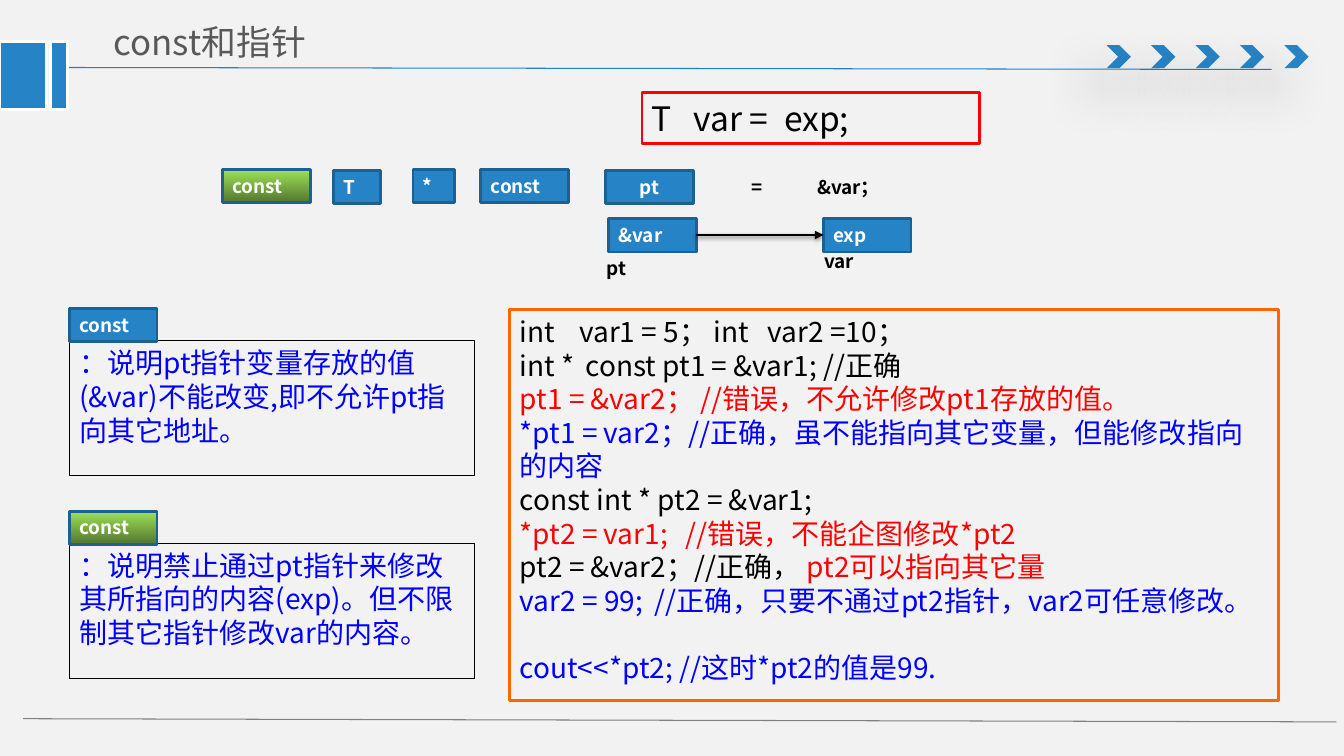
from dataclasses import dataclass

from lxml.etree import SubElement
from pptx import Presentation
from pptx.dml.color import RGBColor
from pptx.enum.shapes import MSO_CONNECTOR, MSO_SHAPE
from pptx.enum.text import MSO_ANCHOR, PP_ALIGN
from pptx.oxml.ns import qn
from pptx.util import Cm, Pt

FONT = "Noto Sans CJK SC"
BLUE, EDGE, WHITE, BLACK = "2683C6", "1C6192", "FFFFFF", "000000"
RED, INK = "FF0000", "0000FF"
GREEN = ("9EE256", "52762D")


@dataclass(frozen=True)
class Line:
    spans: tuple[tuple[str, str], ...]
    tabs: tuple[float, ...] = ()
    before: float = 0


@dataclass(frozen=True)
class Panel:
    left: float
    top: float
    width: float
    height: float
    edge: str
    weight: float
    size: float
    lines: tuple[Line, ...]


@dataclass(frozen=True)
class Chip:
    text: str
    left: float
    top: float
    width: float = 2.21
    green: bool = False
    align: PP_ALIGN = PP_ALIGN.LEFT


@dataclass(frozen=True)
class Label:
    text: str
    left: float
    top: float
    width: float


@dataclass(frozen=True)
class Rule:
    start: tuple[float, float]
    end: tuple[float, float]
    color: str
    weight: float = 0.75


def rgb(value: str) -> RGBColor:
    return RGBColor.from_string(value)


def add_effects(shape, blur: float = 0, distance: float = 0, angle: int = 0) -> None:
    effects = SubElement(shape._element.spPr, qn("a:effectLst"))
    if blur:
        shadow = SubElement(effects, qn("a:outerShdw"), blurRad=str(Pt(blur)),
                            dist=str(Pt(distance)), dir=str(angle * 60000),
                            algn="ctr", rotWithShape="0")
        color = SubElement(shadow, qn("a:srgbClr"), val=BLACK)
        SubElement(color, qn("a:alpha"), val="38000")


def add_box(page, kind, left: float, top: float, width: float, height: float,
            fill: str = "", edge: str = "", weight: float = 2):
    box = page.shapes.add_shape(kind, Cm(left), Cm(top), Cm(width), Cm(height))
    if fill:
        box.fill.solid()
        box.fill.fore_color.rgb = rgb(fill)
    else:
        box.fill.background()
    if edge:
        box.line.color.rgb = rgb(edge)
        box.line.width = Pt(weight)
    else:
        box.line.fill.background()
    return box


def write(frame, lines: tuple[Line, ...], size: float, bold: bool = False,
          align: PP_ALIGN = PP_ALIGN.LEFT) -> None:
    frame.word_wrap = True
    frame.vertical_anchor = MSO_ANCHOR.TOP
    for index, line in enumerate(lines):
        para = frame.add_paragraph() if index else frame.paragraphs[0]
        para.alignment = align
        if line.before:
            para.space_before = Pt(line.before)
        if line.tabs:
            stops = SubElement(para._p.get_or_add_pPr(), qn("a:tabLst"))
            for position in line.tabs:
                SubElement(stops, qn("a:tab"), pos=str(Cm(position)), algn="l")
        para.font.name = FONT
        para.font.size = Pt(size)
        para.font.bold = bold
        para.font.color.rgb = rgb(line.spans[0][1])
        SubElement(para._p.pPr.find(qn("a:defRPr")), qn("a:ea"), typeface=FONT)
        for text, color in line.spans:
            span = para.add_run()
            span.text = text
            if color != line.spans[0][1]:
                span.font.color.rgb = rgb(color)


def add_panel(page, panel: Panel) -> None:
    box = add_box(page, MSO_SHAPE.RECTANGLE, panel.left, panel.top, panel.width,
                  panel.height, edge=panel.edge, weight=panel.weight)
    box.shadow.inherit = False
    write(box.text_frame, panel.lines, panel.size)


def add_chip(page, chip: Chip) -> None:
    box = add_box(page, MSO_SHAPE.RECTANGLE, chip.left, chip.top, chip.width, 0.84,
                  BLUE, EDGE)
    box.shadow.inherit = False
    if chip.green:
        box.fill.gradient()
        box.fill.gradient_angle = 270
        for stop, color in zip(box.fill.gradient_stops, GREEN):
            stop.color.rgb = rgb(color)
    write(box.text_frame, (Line(((chip.text, WHITE),)),), 13.5, True, chip.align)


def add_label(page, label: Label) -> None:
    box = page.shapes.add_textbox(Cm(label.left), Cm(label.top), Cm(label.width), Cm(0.84))
    write(box.text_frame, (Line(((label.text, BLACK),)),), 13.5, True)


def add_rule(page, rule: Rule):
    connector = page.shapes.add_connector(
        MSO_CONNECTOR.STRAIGHT, *(Cm(value) for value in rule.start + rule.end))
    connector.line.color.rgb = rgb(rule.color)
    connector.line.width = Pt(rule.weight)
    return connector


def add_frame(page) -> None:
    for rule in (Rule((1.35, 1.7), (32.05, 1.75), "2181C6"),
                 Rule((0.58, 18.11), (33.68, 18.19), "808080")):
        add_effects(add_rule(page, rule))
    for index in range(5):
        chevron = add_box(page, MSO_SHAPE.CHEVRON, 27.89 + 1.12 * index, 1.14, 0.61, 0.58, BLUE)
        add_effects(chevron, 36, 24, 130)
    for left, width in ((0, 1.17), (1.27, 0.43)):
        block = add_box(page, MSO_SHAPE.RECTANGLE, left, 1.04, width, 1.73, BLUE, WHITE)
        block.shadow.inherit = False
    title = page.shapes.add_textbox(Cm(2.51), Cm(0.36), Cm(11.76), Cm(1.4)).text_frame
    write(title, (Line((("const和指针", "595959"),)),), 24.9)
    title.vertical_anchor = MSO_ANCHOR.MIDDLE
    title.margin_left = title.margin_right = Cm(0.36)
    title.margin_top = title.margin_bottom = Cm(0.18)


CODE = (
    Line((("int\tvar1 = 5； int\tvar2 =10；", BLACK),), (1.5, 6.25)),
    Line((("int *\tconst pt1 = &var1; //正确", BLACK),), (1.66,)),
    Line((("pt1 = &var2； //错误，不允许修改pt1存放的值。", RED),)),
    Line((("*pt1 = var2；//正确，虽不能指向其它变量，但能修改指向的内容", INK),)),
    Line((("const int * pt2 = &var1;", BLACK),)),
    Line((("*pt2 = var1;\t//错误，不能企图修改*pt2", RED),), (4.18,)),
    Line((("pt2 = &var2；//正确，", BLACK), (" pt2可以指向其它量", RED))),
    Line((("var2 = 99;\t//正确，只要不通过pt2指针，var2可任意修改。", INK),), (3.4,)),
    Line((("cout<<*pt2; //这时*pt2的值是99.", INK),), before=24),
)
PANELS = (
    Panel(12.85, 7.8, 19.38, 9.86, "FF6600", 2.25, 20, CODE),
    Panel(16.18, 2.34, 8.51, 1.27, RED, 2, 24,
          (Line((("T\tvar =\texp;", BLACK),), (1.05, 3.33)),)),
    Panel(1.75, 8.59, 10.21, 3.4, BLACK, 0.75, 20,
          (Line((("：说明pt指针变量存放的值(&var)不能改变,即不允许pt指向其它地址。", INK),)),)),
    Panel(1.75, 13.69, 10.21, 3.4, BLACK, 0.75, 20,
          (Line((("：说明禁止通过pt指针来修改其所指向的内容(exp)。但不限制其它指针修改var的内容。", INK),)),)),
)
CHIPS = (
    Chip("const", 5.61, 4.27, green=True),
    Chip("T", 8.41, 4.29, 1.19),
    Chip("*", 10.41, 4.27, 1.04),
    Chip("const", 12.12, 4.27),
    Chip("pt", 15.27, 4.29, align=PP_ALIGN.CENTER),
    Chip("&var", 15.34, 5.51),
    Chip("exp", 20.75, 5.51),
    Chip("const", 1.75, 7.77),
    Chip("const", 1.75, 12.88, green=True),
)
LABELS = (
    Label(" =", 18.59, 4.29, 1.42),
    Label(" &var；", 20.24, 4.29, 3.78),
    Label("var", 20.52, 6.17, 2.01),
    Label("pt", 15.04, 6.35, 2.01),
)


def main() -> None:
    deck = Presentation()
    deck.slide_width, deck.slide_height = Cm(33.87), Cm(19.05)
    page = deck.slides.add_slide(deck.slide_layouts[6])
    page.background.fill.solid()
    page.background.fill.fore_color.rgb = rgb("F2F2F2")
    add_frame(page)
    for panel in PANELS:
        add_panel(page, panel)
    for chip in CHIPS:
        add_chip(page, chip)
    for label in LABELS:
        add_label(page, label)
    arrow = add_rule(page, Rule((17.55, 5.92), (20.75, 5.92), BLACK, 2))
    SubElement(arrow.line._get_or_add_ln(), qn("a:tailEnd"), type="triangle")
    add_effects(arrow, 3.1, 1.6, 90)
    deck.save("out.pptx")


if __name__ == "__main__":
    main()
